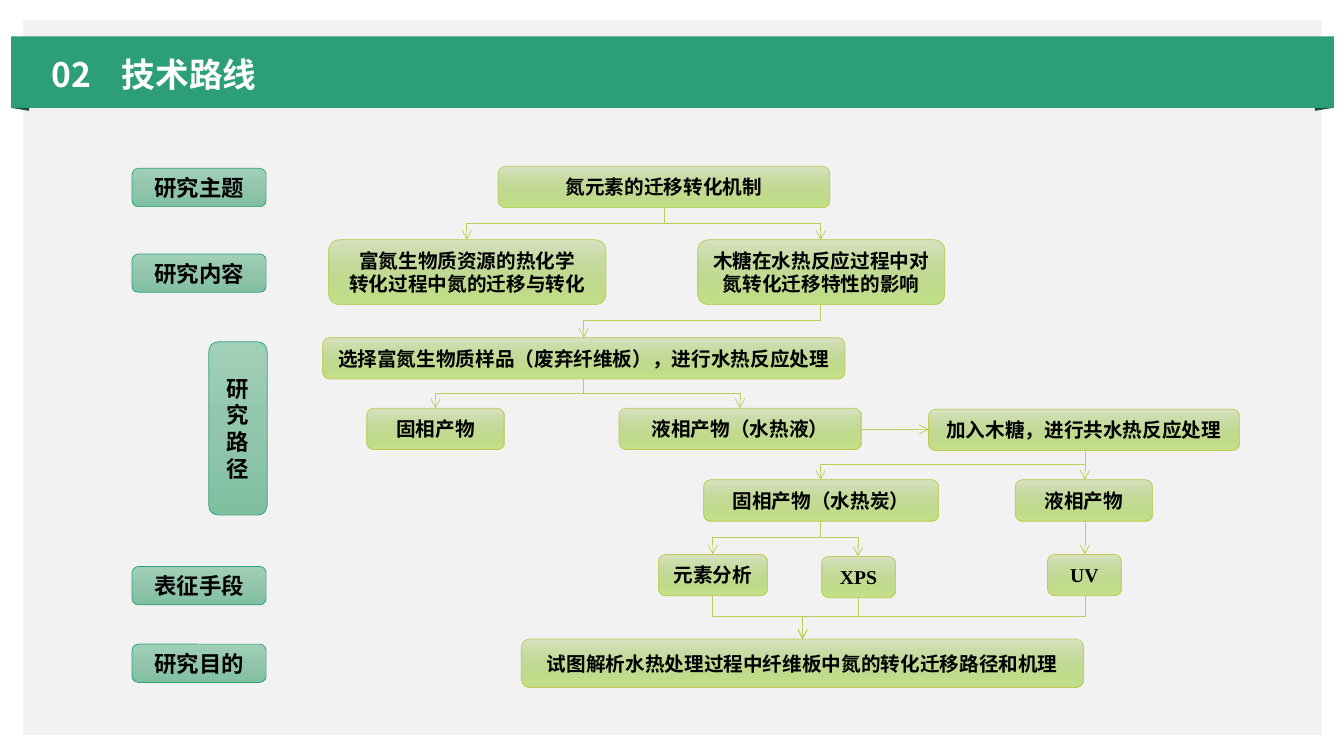
from lxml import etree
from pptx import Presentation
from pptx.dml.color import RGBColor
from pptx.enum.shapes import MSO_CONNECTOR, MSO_SHAPE
from pptx.enum.text import MSO_ANCHOR, MSO_AUTO_SIZE, PP_ALIGN
from pptx.oxml.ns import qn
from pptx.util import Inches, Pt

RECT = MSO_SHAPE.RECTANGLE
ROUNDED = MSO_SHAPE.FLOWCHART_ALTERNATE_PROCESS
STRAIGHT = MSO_CONNECTOR.STRAIGHT
ELBOW = MSO_CONNECTOR.ELBOW
MIDDLE = MSO_ANCHOR.MIDDLE
BOTTOM = MSO_ANCHOR.BOTTOM
CENTER = PP_ALIGN.CENTER
LEFT = PP_ALIGN.LEFT
NO_AUTOFIT = MSO_AUTO_SIZE.NONE

CJK = "Noto Sans CJK SC"
SERIF = "Times New Roman"
GREEN = "2C9F76"
DARK_GREEN = "16503B"
LIME = "C0CA54"
STAGE_STOPS = [(0, "A0D0B8", 100), (50, "93C5AD", 100), (100, "7FC0A1", 100)]
STEP_STOPS = [(0, "85B52C", 23), (100, "C3E288", 100)]

STAGES = [
    ("研究主题", 1.31, 1.67, 1.33, 0.38),
    ("研究内容", 1.31, 2.52, 1.33, 0.38),
    ("研究路径", 2.07, 3.39, 0.58, 1.72),
    ("表征手段", 1.31, 5.62, 1.33, 0.38),
    ("研究目的", 1.31, 6.39, 1.33, 0.38),
]
STEPS = [
    ("氮元素的迁移转化机制", 4.94, 1.65, 3.29, 0.41, CJK),
    ("富氮生物质资源的热化学\n转化过程中氮的迁移与转化", 3.26, 2.38, 2.75, 0.64, CJK),
    ("木糖在水热反应过程中对氮转化迁移特性的影响", 6.92, 2.38, 2.45, 0.64, CJK),
    ("选择富氮生物质样品（废弃纤维板），进行水热反应处理", 3.2, 3.35, 5.18, 0.41, CJK),
    ("固相产物", 3.64, 4.05, 1.36, 0.41, CJK),
    ("液相产物（水热液）", 6.14, 4.05, 2.4, 0.41, CJK),
    ("加入木糖，进行共水热反应处理", 9.21, 4.06, 3.08, 0.41, CJK),
    ("固相产物（水热炭）", 6.98, 4.76, 2.33, 0.41, CJK),
    ("液相产物", 10.07, 4.76, 1.36, 0.41, CJK),
    ("元素分析", 6.53, 5.5, 1.08, 0.41, CJK),
    ("XPS", 8.15, 5.52, 0.73, 0.41, SERIF),
    ("UV", 10.39, 5.5, 0.73, 0.41, SERIF),
    ("试图解析水热处理过程中纤维板中氮的转化迁移路径和机理", 5.17, 6.34, 5.58, 0.48, CJK),
]
ELBOWS = [
    (6.59, 2.06, 4.63, 2.38, 2.22),
    (6.59, 2.06, 8.14, 2.38, 2.22),
    (8.14, 3.02, 5.79, 3.35, 3.18),
    (5.79, 3.76, 4.32, 4.05, 3.9),
    (5.79, 3.76, 7.34, 4.05, 3.9),
    (10.76, 4.47, 8.14, 4.76, 4.61),
    (8.14, 5.17, 7.07, 5.5, 5.33),
    (8.14, 5.17, 8.51, 5.52, 5.33),
    (7.07, 5.91, 7.96, 6.34, 6.12),
    (8.51, 5.93, 7.96, 6.34, 6.12),
    (10.76, 5.91, 7.96, 6.34, 6.12),
]
STRAIGHTS = [
    (8.54, 4.26, 9.21, 4.26),
    (10.76, 4.47, 10.76, 4.76),
    (10.76, 5.17, 10.76, 5.5),
]


def color(value):
    return RGBColor.from_string(value)


def add(parent, tag, **attrs):
    return etree.SubElement(parent, qn(tag), attrs)


def set_font(p, size, rgb, name):
    p.font.size = Pt(size)
    p.font.bold = True
    p.font.color.rgb = color(rgb)
    p.font.name = name
    add(p._p.pPr.find(qn("a:defRPr")), "a:ea", typeface=name)


def paint(shape, rgb):
    shape.shadow.inherit = False
    shape.fill.solid()
    shape.fill.fore_color.rgb = color(rgb)
    shape.line.fill.background()


def add_panel(s, x, y, w, h, rgb):
    paint(s.shapes.add_shape(RECT, Inches(x), Inches(y), Inches(w), Inches(h)), rgb)


def add_fold(s, outer, inner):
    builder = s.shapes.build_freeform(Inches(outer), Inches(1.07))
    builder.add_line_segments([(Inches(inner), Inches(1.07)), (Inches(inner), Inches(1.1))])
    paint(builder.convert_to_shape(), DARK_GREEN)


def fill_gradient(shape, stops):
    shape.fill.gradient()
    grad = shape._element.spPr.find(qn("a:gradFill"))
    for child in list(grad):
        grad.remove(child)
    gs_list = add(grad, "a:gsLst")
    for pos, rgb, opacity in stops:
        gs = add(gs_list, "a:gs", pos=str(pos * 1000))
        clr = add(gs, "a:srgbClr", val=rgb)
        if opacity < 100:
            add(clr, "a:alpha", val=str(opacity * 1000))
    add(grad, "a:lin", ang="5400000", scaled="0")


def add_box(s, text, x, y, w, h, stops, line, size, name):
    shape = s.shapes.add_shape(ROUNDED, Inches(x), Inches(y), Inches(w), Inches(h))
    shape.shadow.inherit = False
    fill_gradient(shape, stops)
    shape.line.color.rgb = color(line)
    shape.line.width = Pt(0.5)
    tf = shape.text_frame
    tf.word_wrap = True
    tf.vertical_anchor = MIDDLE
    tf.text = text
    for p in tf.paragraphs:
        p.alignment = CENTER
        set_font(p, size, "000000", name)


def add_arrow(s, kind, x1, y1, x2, y2):
    c = s.shapes.add_connector(kind, Inches(x1), Inches(y1), Inches(x2), Inches(y2))
    c.line.color.rgb = color(LIME)
    c.line.width = Pt(0.5)
    add(c.line._get_or_add_ln(), "a:tailEnd", type="arrow")
    add(c._element.spPr, "a:effectLst")
    return c


def add_elbow(s, x1, y1, x2, y2, rail):
    cx, cy = (x1 + x2) / 2, (y1 + y2) / 2
    half_x, half_y = (x2 - x1) / 2, (y2 - y1) / 2
    c = add_arrow(s, ELBOW, cx - half_y, cy + half_x, cx + half_y, cy - half_x)
    sp_pr = c._element.spPr
    sp_pr.find(qn("a:xfrm")).set("rot", "5400000")
    geom = sp_pr.find(qn("a:prstGeom"))
    guides = geom.find(qn("a:avLst"))
    if guides is None:
        guides = add(geom, "a:avLst")
    bend = round((rail - y1) / (y2 - y1) * 100000)
    add(guides, "a:gd", name="adj1", fmla=f"val {bend}")


def add_title(s, text):
    title = s.shapes.title
    title.left, title.top = Inches(0.41), Inches(0.48)
    title.width, title.height = Inches(12.52), Inches(0.51)
    title._element.getparent().append(title._element)
    tf = title.text_frame
    tf.word_wrap = True
    tf.auto_size = NO_AUTOFIT
    tf.vertical_anchor = BOTTOM
    tf.text = text
    p = tf.paragraphs[0]
    p.alignment = LEFT
    p.line_spacing = 0.9
    tabs = add(p._p.get_or_add_pPr(), "a:tabLst")
    add(tabs, "a:tab", pos=str(Inches(0.7)), algn="l")
    set_font(p, 24, "FFFFFF", CJK)


def main():
    prs = Presentation()
    prs.slide_width, prs.slide_height = Inches(13.33), Inches(7.5)
    s = prs.slides.add_slide(prs.slide_layouts[5])
    add_panel(s, 0.23, 0.2, 12.88, 7.09, "F2F2F2")
    add_panel(s, 0.11, 0.36, 13.12, 0.71, GREEN)
    add_fold(s, 0.11, 0.29)
    add_fold(s, 13.22, 13.04)
    add_title(s, "02\t技术路线")
    for text, x, y, w, h in STAGES:
        add_box(s, text, x, y, w, h, STAGE_STOPS, GREEN, 16, CJK)
    for text, x, y, w, h, name in STEPS:
        add_box(s, text, x, y, w, h, STEP_STOPS, LIME, 14, name)
    for elbow in ELBOWS:
        add_elbow(s, *elbow)
    for ends in STRAIGHTS:
        add_arrow(s, STRAIGHT, *ends)
    prs.save("out.pptx")


if __name__ == "__main__":
    main()
